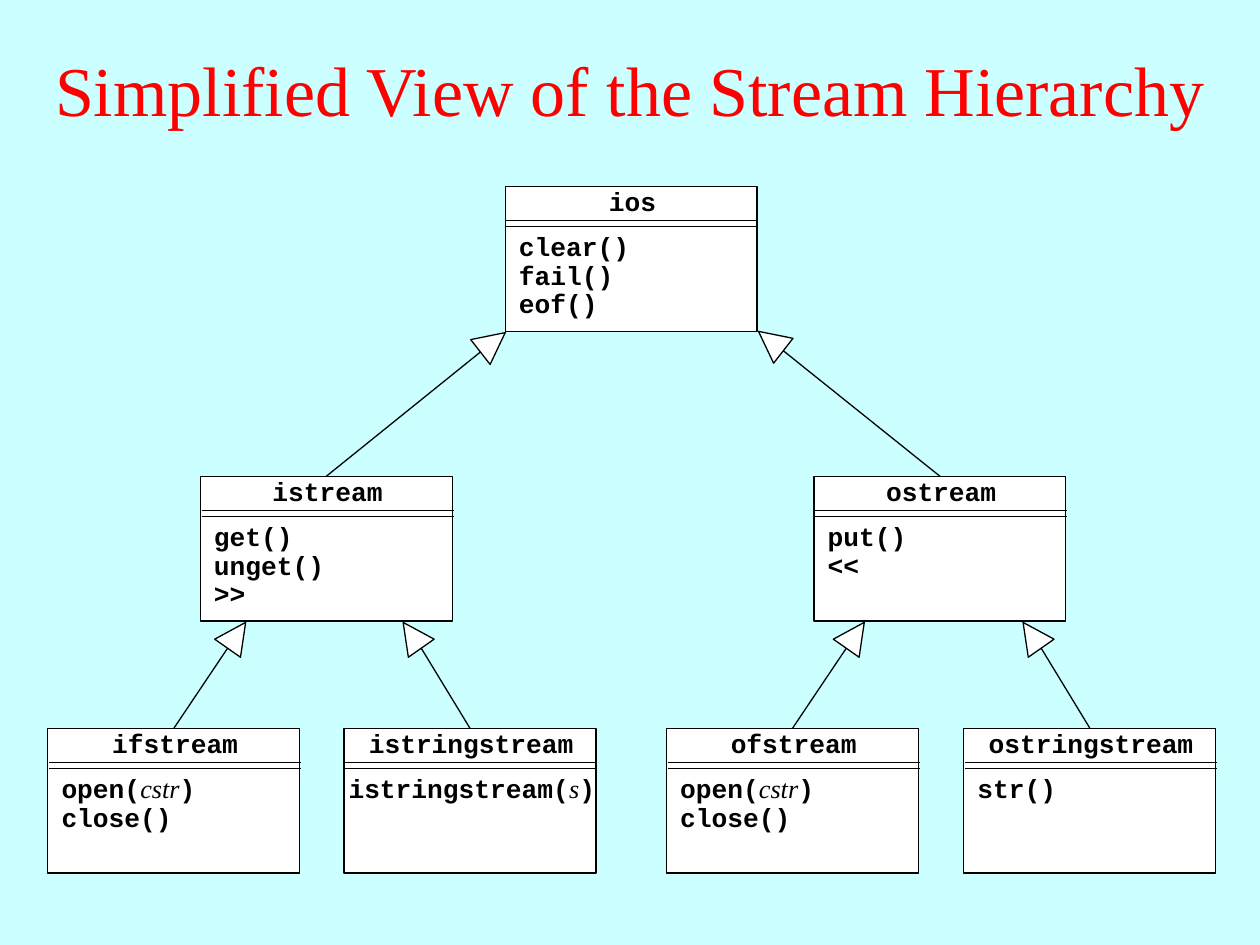
from math import cos, radians, sin

from lxml import etree
from pptx import Presentation
from pptx import util as u
from pptx.dml.color import RGBColor
from pptx.enum import shapes, text
from pptx.oxml.ns import qn

BACKGROUND = RGBColor(0xCC, 0xFF, 0xFF)
RED = RGBColor(0xFF, 0, 0)
WHITE = RGBColor(0xFF, 0xFF, 0xFF)
BLACK = RGBColor(0, 0, 0)

CODE_FONT = "Courier New"
SERIF_FONT = "Times New Roman"
BOX_WIDTH, BOX_HEIGHT = 2, 1.15
ARROW_SIZE = 0.25

CLASSES = {
    "ios": (4.01, 1.48, ["clear()", "fail()", "eof()"]),
    "istream": (1.59, 3.78, ["get()", "unget()", ">>"]),
    "ostream": (6.46, 3.78, ["put()", "<<"]),
    "ifstream": (0.38, 5.78, ["open(*cstr*)", "close()"]),
    "istringstream": (2.73, 5.78, ["istringstream(*s*)"]),
    "ofstream": (5.29, 5.78, ["open(*cstr*)", "close()"]),
    "ostringstream": (7.65, 5.78, ["str()"]),
}

INHERITANCE = [
    ("istream", 4.01, 2.64, 52),
    ("ostream", 6.02, 2.63, -52),
    ("ifstream", 1.95, 4.94, 35),
    ("istringstream", 3.2, 4.94, -35),
    ("ofstream", 6.86, 4.94, 35),
    ("ostringstream", 8.12, 4.94, -35),
]


def inches(*lengths):
    return [u.Inches(length) for length in lengths]


def add_title(slide, left, top, width, height):
    title = slide.shapes.title
    title.left, title.top, title.width, title.height = inches(left, top, width, height)
    frame = title.text_frame
    frame.text = "Simplified View of the Stream Hierarchy"
    frame.auto_size = text.MSO_AUTO_SIZE.NONE
    frame.vertical_anchor = text.MSO_ANCHOR.MIDDLE
    paragraph = frame.paragraphs[0]
    paragraph.alignment = text.PP_ALIGN.CENTER
    font = paragraph.runs[0].font
    font.name, font.size, font.color.rgb = SERIF_FONT, u.Pt(40), RED


def add_shape(slide, kind, left, top, width, height):
    shape = slide.shapes.add_shape(kind, *inches(left, top, width, height))
    shape.shadow.inherit = False
    shape.fill.solid()
    shape.fill.fore_color.rgb = WHITE
    shape.line.color.rgb = BLACK
    shape.line.width = u.Pt(0.75)
    return shape


def add_line(slide, start_x, start_y, end_x, end_y, points):
    line = slide.shapes.add_connector(
        shapes.MSO_CONNECTOR.STRAIGHT, *inches(start_x, start_y, end_x, end_y))
    line.line.color.rgb = BLACK
    line.line.width = u.Pt(points)
    etree.SubElement(line._element.spPr, qn("a:effectLst"))
    return line


def add_code(slide, left, top, width, lines, alignment):
    height = 0.1 + 0.23 * len(lines)
    box = slide.shapes.add_textbox(*inches(left, top, width, height))
    frame = box.text_frame
    frame.word_wrap = True
    frame.text = "\n".join(lines)
    for paragraph, line in zip(frame.paragraphs, lines):
        paragraph.text = ""
        paragraph.alignment = alignment
        paragraph.line_spacing = 0.9
        for index, part in enumerate(line.split("*")):
            is_argument = index % 2 == 1
            run = paragraph.add_run()
            run.text = part
            font = run.font
            font.name = SERIF_FONT if is_argument else CODE_FONT
            font.bold, font.italic = not is_argument, is_argument
            font.size, font.color.rgb = u.Pt(15), BLACK


def add_class(slide, left, top, name, members):
    box = add_shape(slide, shapes.MSO_SHAPE.RECTANGLE, left, top, BOX_WIDTH, BOX_HEIGHT)
    inner = left + 0.01
    for offset in (0.27, 0.32):
        add_line(slide, inner, top + offset, inner + BOX_WIDTH, top + offset, 0.5)
    add_code(slide, inner, top - 0.03, BOX_WIDTH, [name], text.PP_ALIGN.CENTER)
    if name == "istringstream":
        add_code(slide, left - 0.07, top + 0.33, 2.17, members, text.PP_ALIGN.CENTER)
    else:
        add_code(slide, inner, top + 0.33, BOX_WIDTH, members, text.PP_ALIGN.LEFT)
    return box


def add_inheritance(slide, child, tip_x, tip_y, angle):
    across, up = sin(radians(angle)), cos(radians(angle))
    half = ARROW_SIZE / 2
    arrow = add_shape(slide, shapes.MSO_SHAPE.ISOSCELES_TRIANGLE,
                      tip_x - half * across - half, tip_y + half * up - half,
                      ARROW_SIZE, ARROW_SIZE)
    arrow.rotation = angle % 360
    base_x, base_y = tip_x - ARROW_SIZE * across, tip_y + ARROW_SIZE * up
    line = add_line(slide, base_x, base_y, base_x, base_y, 0.75)
    line.begin_connect(child, 0)


def main():
    presentation = Presentation()
    presentation.slide_width, presentation.slide_height = inches(10, 7.5)
    slide = presentation.slides.add_slide(presentation.slide_layouts[5])
    slide.background.fill.solid()
    slide.background.fill.fore_color.rgb = BACKGROUND
    add_title(slide, 0, 0.08, 10, 1.25)
    boxes = {name: add_class(slide, left, top, name, members)
             for name, (left, top, members) in CLASSES.items()}
    for child, tip_x, tip_y, angle in INHERITANCE:
        add_inheritance(slide, boxes[child], tip_x, tip_y, angle)
    presentation.save("out.pptx")


if __name__ == "__main__":
    main()
